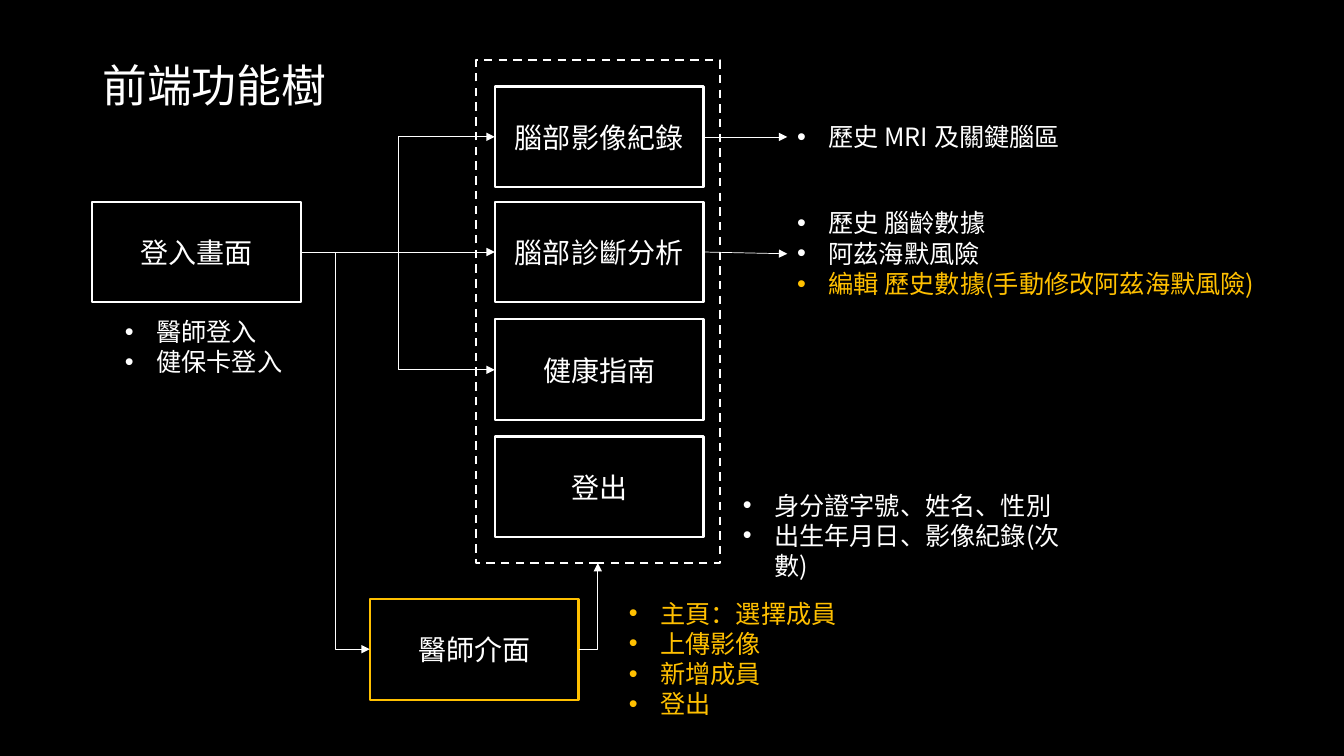
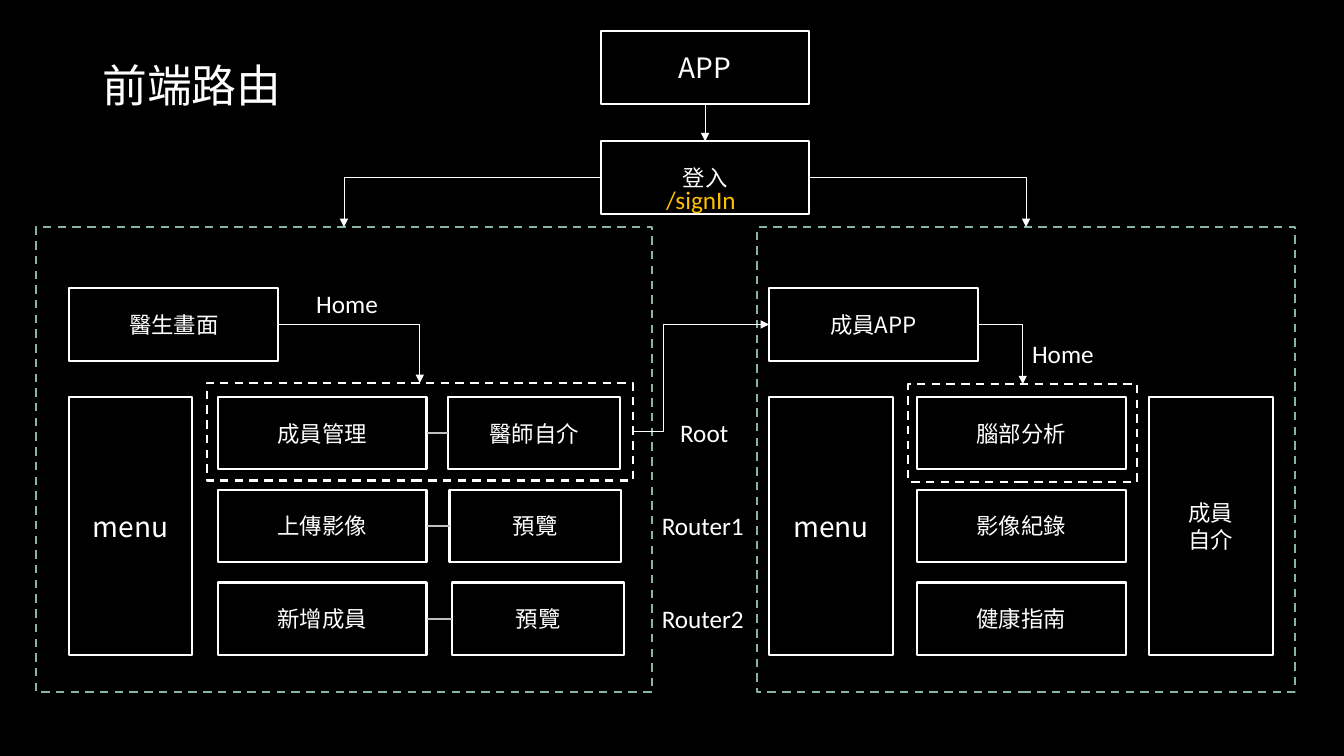
from lxml.etree import SubElement
from pptx import Presentation
from pptx.dml.color import RGBColor
from pptx.enum.dml import MSO_LINE
from pptx.enum.shapes import MSO_CONNECTOR, MSO_SHAPE
from pptx.enum.text import MSO_ANCHOR, MSO_AUTO_SIZE, PP_ALIGN
from pptx.oxml.ns import qn
from pptx.util import Cm, Pt

BLACK, WHITE, GOLD, GREY, TEAL = "000000", "FFFFFF", "FFC000", "BFBFBF", "88B2AC"
HAN, LATIN = "Noto Sans CJK SC", "Calibri"
TOP, LEFT, BOTTOM, RIGHT = range(4)
WIDE = 5.26  # width of the usual box
LOW = 1.83  # height of a routing box


def color(code):
    return RGBColor.from_string(code)


def put(item, form):
    """Set each attribute named in the dict."""
    for name, value in form.items():
        setattr(item, name, value)


class Deck:
    def __init__(self):
        self.prs = Presentation()
        put(self.prs, {"slide_width": Cm(33.87), "slide_height": Cm(19.05)})
        fill = self.prs.slide_master.background.fill
        fill.solid()
        fill.fore_color.rgb = color(BLACK)
        self.slide = None

    def page(self, title):
        """Start a slide with its title."""
        self.slide = self.prs.slides.add_slide(self.prs.slide_layouts[6])
        box = self.area(2.33, 1.11, 29.21, 2.23)
        box.text_frame.vertical_anchor = MSO_ANCHOR.MIDDLE
        self.words(box, [(title, WHITE)], 32, form={"line_spacing": 0.9})

    def area(self, x, y, w, h):
        """Add an empty text box that wraps."""
        box = self.slide.shapes.add_textbox(Cm(x), Cm(y), Cm(w), Cm(h))
        box.text_frame.word_wrap = True
        return box

    def words(self, shape, rows, size, face=HAN, form=None):
        """Fill a shape with one paragraph per (text, colour) row."""
        frame = shape.text_frame
        for i, (text, tone) in enumerate(rows):
            para = frame.add_paragraph() if i else frame.paragraphs[0]
            put(para, form or {})
            run = para.add_run()
            run.text = text
            put(run.font, {"size": Pt(size), "name": face})
            run.font.color.rgb = color(tone)
            SubElement(run.font._element, qn("a:ea"), typeface=face)

    def rect(self, x, y, w, h, tone):
        shape = self.slide.shapes.add_shape(
            MSO_SHAPE.RECTANGLE, Cm(x), Cm(y), Cm(w), Cm(h))
        shape.shadow.inherit = False
        shape.line.color.rgb = color(tone)
        shape.line.width = Pt(1.5)
        return shape

    def box(self, text, x, y, w=WIDE, h=LOW, size=16, tone=WHITE):
        shape = self.rect(x, y, w, h, tone)
        shape.fill.solid()
        shape.fill.fore_color.rgb = color(BLACK)
        put(shape.text_frame, {"vertical_anchor": MSO_ANCHOR.MIDDLE, "word_wrap": True})
        rows = [(line, WHITE) for line in text.split("\n")]
        self.words(shape, rows, size, form={"alignment": PP_ALIGN.CENTER})
        return shape

    def frame(self, x, y, w, h, tone=WHITE):
        """Add a dashed outline."""
        shape = self.rect(x, y, w, h, tone)
        shape.fill.background()
        shape.line.dash_style = MSO_LINE.DASH
        return shape

    def label(self, text, x, y, w, tone=WHITE):
        box = self.area(x, y, w, 1.02)
        put(box.text_frame, {"word_wrap": False,
                             "auto_size": MSO_AUTO_SIZE.SHAPE_TO_FIT_TEXT})
        self.words(box, [(text, tone)], 18, LATIN)

    def bullets(self, rows, x, y, w, h):
        box = self.area(x, y, w, h)
        self.words(box, rows, 18)
        for para in box.text_frame.paragraphs:
            props = para._p.get_or_add_pPr()
            props.set("marL", str(Cm(0.79)))
            props.set("indent", str(-Cm(0.79)))
            SubElement(props, qn("a:buFont"), typeface="Arial")
            SubElement(props, qn("a:buChar"), char="•")
        return box

    def wire(self, start, out, end, into, kind=MSO_CONNECTOR.STRAIGHT,
             tone=WHITE, width=0.5, arrow=True):
        """Join a side of one shape to a side of another; return its geometry."""
        line = self.slide.shapes.add_connector(kind, 0, 0, 0, 0)
        line.begin_connect(start, out)
        line.end_connect(end, into)
        line.line.color.rgb = color(tone)
        line.line.width = Pt(width)
        props = line._element.spPr
        if arrow:
            SubElement(props.find(qn("a:ln")), qn("a:tailEnd"), type="triangle")
        SubElement(props, qn("a:effectLst"))
        return props.find(qn("a:prstGeom"))

    def step(self, start, end, turn=50):
        """Draw an elbow from right to left side, turning at a percentage."""
        shape = self.wire(start, RIGHT, end, LEFT, MSO_CONNECTOR.ELBOW)
        SubElement(shape.find(qn("a:avLst")), qn("a:gd"), name="adj1",
                   fmla=f"val {turn * 1000:.0f}")

    def bend(self, start, out, end, into):
        """Draw an elbow with a single corner."""
        shape = self.wire(start, out, end, into, MSO_CONNECTOR.ELBOW)
        shape.set("prst", "bentConnector2")


def tree(deck):
    deck.page("前端功能樹")
    big = {"h": 2.54, "size": 20}
    login = deck.box("登入畫面", 2.33, 5.08, **big)
    tops = {"腦部影像紀錄": 2.18, "腦部診斷分析": 5.08, "健康指南": 8.05, "登出": 11}
    scan, check, guide, _ = [deck.box(text, 12.47, y, **big) for text, y in tops.items()]
    doctor = deck.box("醫師介面", 9.32, 15.09, tone=GOLD, **big)
    group = deck.frame(11.99, 1.52, 6.15, 12.67)

    past = deck.bullets([("歷史 MRI 及關鍵腦區", WHITE)], 19.84, 2.94, 12.12, 1.02)
    risk = deck.bullets([("歷史 腦齡數據", WHITE), ("阿茲海默風險", WHITE),
                         ("編輯 歷史數據(手動修改阿茲海默風險)", GOLD)],
                        19.84, 5.11, 12.12, 2.57)
    deck.bullets([("醫師登入", WHITE), ("健保卡登入", WHITE)], 2.9, 7.85, 4.7, 1.8)
    deck.bullets([("身分證字號、姓名、性別", WHITE), ("出生年月日、影像紀錄(次數)", WHITE)],
                 18.47, 12.22, 9.32, 1.8)
    tasks = ["主頁：選擇成員", "上傳影像", "新增成員", "登出"]
    deck.bullets([(task, GOLD) for task in tasks], 15.6, 14.94, 10.59, 3.33)

    for end in (scan, guide, doctor):
        deck.step(login, end)
    for start, end in ((login, check), (scan, past), (check, risk)):
        deck.wire(start, RIGHT, end, LEFT)
    deck.bend(doctor, RIGHT, group, BOTTOM)


def routes(deck):
    deck.page("前端路由")
    rows = [10 + 2.34 * i for i in range(3)]
    tall = {"y": rows[0], "w": 3.12, "h": 6.5}

    app = deck.box("APP", 15.14, 0.79, size=20)
    login = deck.box("登入", 15.14, 3.56)
    left = deck.frame(0.91, 5.72, 15.52, 11.73, TEAL)
    right = deck.frame(19.08, 5.72, 13.56, 11.73, TEAL)
    for x in (1.73, 19.38):
        deck.box("menu", x, size=20, **tall)
    deck.box("成員\n自介", 28.96, **tall)

    pairs = [("成員管理", "醫師自介", 11.3), ("上傳影像", "預覽", 11.33),
             ("新增成員", "預覽", 11.4)]
    for y, (text, side, x) in zip(rows, pairs):
        main = deck.box(text, 5.49, y)
        more = deck.box(side, x, y, 4.32)
        deck.wire(main, RIGHT, more, LEFT, tone=GREY, width=1.5, arrow=False)
    for y, text in zip(rows, ("腦部分析", "影像紀錄", "健康指南")):
        deck.box(text, 23.11, y)

    doctor = deck.box("醫生畫面", 1.75, 7.26)
    member = deck.box("成員APP", 19.38, 7.26)
    home = deck.frame(5.21, 9.65, 10.74, 2.46)
    front = deck.frame(22.89, 9.68, 5.77, 2.46)

    deck.wire(app, BOTTOM, login, TOP)
    deck.bend(login, LEFT, left, TOP)
    deck.bend(login, RIGHT, right, TOP)
    deck.bend(doctor, RIGHT, home, TOP)
    deck.bend(member, RIGHT, front, TOP)
    deck.step(home, member, 22.5)

    names = [("Root", 16.89, 1.73), ("Router1", 16.43, 2.59), ("Router2", 16.43, 2.59)]
    for y, (text, x, w) in zip(rows, names):
        deck.label(text, x, y + 0.4, w)
    for x, y in ((7.72, 7.14), (25.76, 8.41)):
        deck.label("Home", x, y, 2.08)
    deck.label("/signIn", 16.54, 4.52, 2.29, GOLD)


def main():
    deck = Deck()
    tree(deck)
    routes(deck)
    deck.prs.save("out.pptx")


if __name__ == "__main__":
    main()
